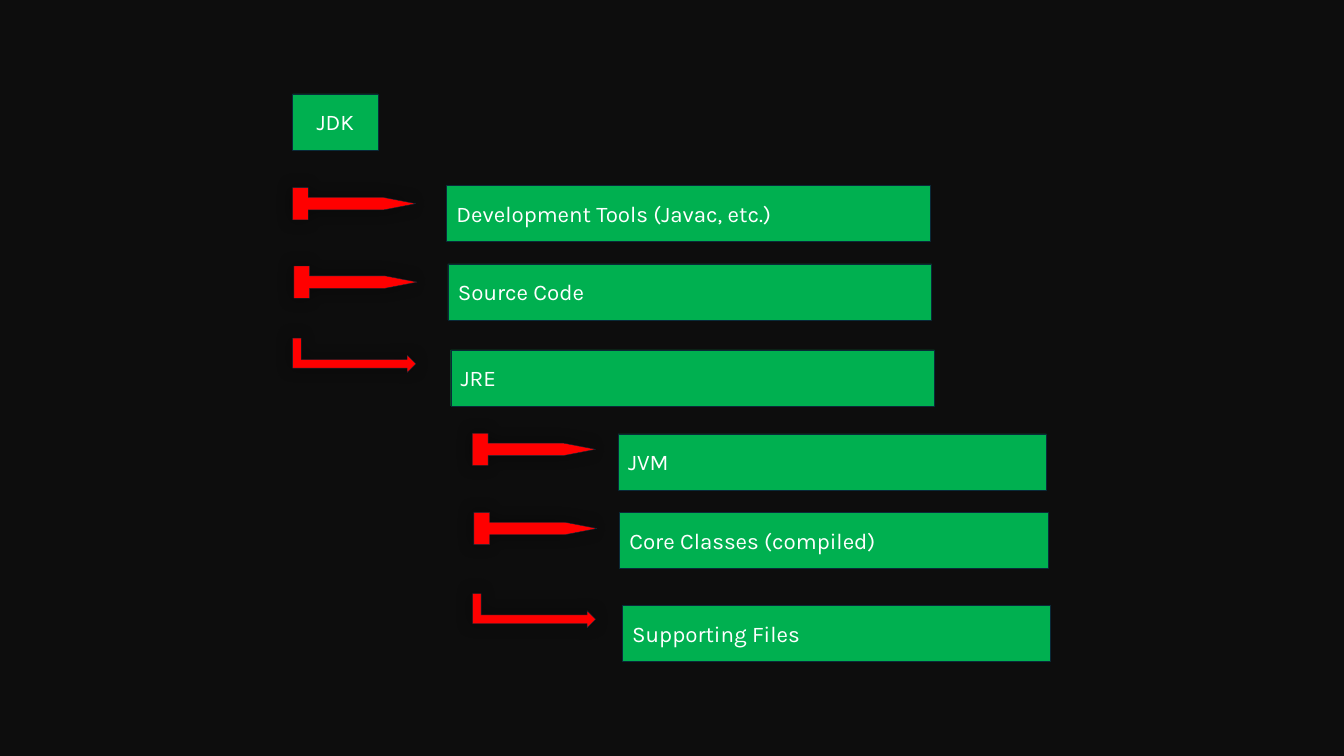
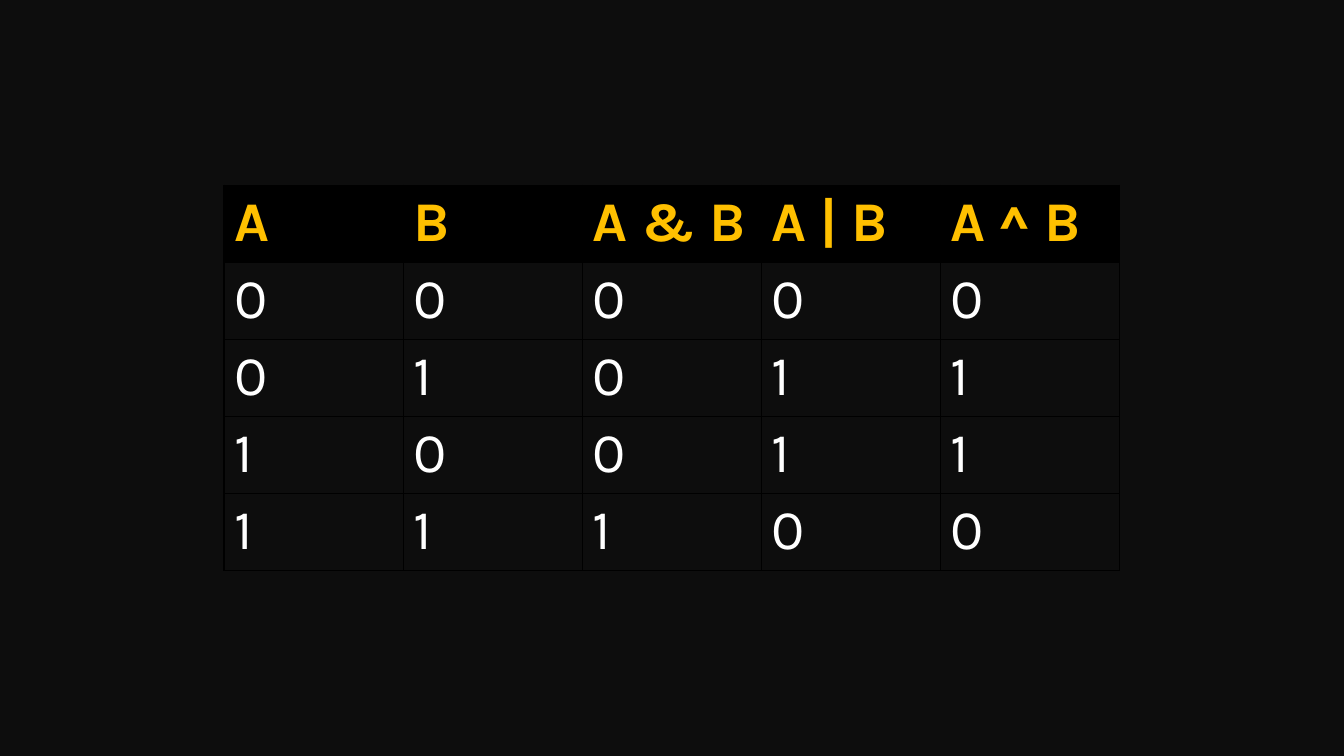
from dataclasses import dataclass

from lxml import etree
from pptx import Presentation
from pptx.dml.color import RGBColor
from pptx.enum.shapes import MSO_SHAPE
from pptx.enum.text import MSO_ANCHOR, PP_ALIGN
from pptx.oxml import parse_xml
from pptx.oxml.ns import nsdecls, qn
from pptx.util import Pt

RECTANGLE = MSO_SHAPE.RECTANGLE
CALLOUT_ARROW = MSO_SHAPE.RIGHT_ARROW_CALLOUT
BENT_ARROW = MSO_SHAPE.BENT_UP_ARROW
LEFT, CENTER = PP_ALIGN.LEFT, PP_ALIGN.CENTER
MIDDLE = MSO_ANCHOR.MIDDLE


@dataclass(frozen=True)
class Theme:
    """Colours, type and line sizes shared by both slides."""
    background: str = "0D0D0D"
    box: str = "00B050"
    arrow: str = "FF0000"
    outline: str = "092A39"
    text: str = "FFFFFF"
    heading: str = "FFC000"
    table_dark: str = "000000"
    font: str = "Karla"
    box_size: float = 16
    table_size: float = 40
    outline_width: float = 0.25
    border_width: float = 1


THEME = Theme()
BOX_HEIGHT = 40
ARROW_WIDTH = 88
CALLOUT_HEIGHT = 23
BENT_HEIGHT = 24.5
CALLOUT_ADJUSTMENTS = (0.389, 0.194, 1.007, 0.127)
BOX_SHIFTS = (0, 1, 3)
ARROW_SHIFTS = (0, 1, 0)


def rgb(value):
    """Turn a hex string into a colour."""
    return RGBColor.from_string(value)


def apply_format(target, values):
    """Set each named attribute on the target."""
    for name, value in values.items():
        setattr(target, name, value)


def style_font(font, size, color, bold=False):
    """Give a font the theme typeface, a size, a colour and a weight."""
    apply_format(font, {"name": THEME.font, "size": Pt(size), "bold": bold})
    font.color.rgb = rgb(color)


def add_block(shapes, kind, left, top, width, height, color):
    """Add a filled preset shape with the thin shared outline."""
    shape = shapes.add_shape(kind, Pt(left), Pt(top), Pt(width), Pt(height))
    shape.shadow.inherit = False
    shape.fill.solid()
    shape.fill.fore_color.rgb = rgb(color)
    shape.line.color.rgb = rgb(THEME.outline)
    shape.line.width = Pt(THEME.outline_width)
    return shape


def add_label_box(shapes, text, left, top, width, alignment=LEFT):
    """Add a green box holding one line of text."""
    shape = add_block(shapes, RECTANGLE, left, top, width, BOX_HEIGHT, THEME.box)
    apply_format(shape.text_frame, {"word_wrap": True, "vertical_anchor": MIDDLE})
    paragraph = shape.text_frame.paragraphs[0]
    apply_format(paragraph, {"text": text, "alignment": alignment})
    style_font(paragraph.runs[0].font, THEME.box_size, THEME.text)


def add_soft_shadow(shape):
    """Give a shape a soft black outer shadow."""
    effects = shape._element.spPr.find(qn("a:effectLst"))
    shadow = etree.SubElement(effects, qn("a:outerShdw"), {
        "blurRad": str(Pt(12)), "dist": str(Pt(1)), "dir": str(206 * 60000)})
    color = etree.SubElement(shadow, qn("a:srgbClr"), val="000000")
    etree.SubElement(color, qn("a:alpha"), val="40000")


def add_callout_arrow(shapes, left, top):
    """Add a straight arrow with a square foot."""
    shape = add_block(shapes, CALLOUT_ARROW, left, top,
                      ARROW_WIDTH, CALLOUT_HEIGHT, THEME.arrow)
    for index, value in enumerate(CALLOUT_ADJUSTMENTS):
        shape.adjustments[index] = value
    add_soft_shadow(shape)


def add_bent_arrow(shapes, left, top):
    """Add an arrow that runs down and then right from its visible corner."""
    inset = (ARROW_WIDTH - BENT_HEIGHT) / 2
    shape = add_block(shapes, BENT_ARROW, left + inset, top - inset,
                      BENT_HEIGHT, ARROW_WIDTH, THEME.arrow)
    shape.rotation = 90
    add_soft_shadow(shape)


def add_branches(shapes, left, top, box_offset, box_width, branches):
    """Place a tier of labelled boxes and arrows, the last arrow bent."""
    last = len(branches) - 1
    for index, (text, box_drop, arrow_drop) in enumerate(branches):
        add_label_box(shapes, text, left + box_offset + BOX_SHIFTS[index],
                      top + box_drop, box_width)
        add_arrow = add_bent_arrow if index == last else add_callout_arrow
        add_arrow(shapes, left + ARROW_SHIFTS[index], top + arrow_drop)


def add_tree_slide(presentation, left, top):
    """Build the tree of kit parts from its top left corner."""
    slide = presentation.slides.add_slide(presentation.slide_layouts[6])
    shapes = slide.shapes.add_group_shape().shapes
    add_label_box(shapes, "JDK", left, top, 61, CENTER)
    add_branches(shapes, left, top + 65.5, 110, 345.5, (
        ("Development Tools (Javac, etc.)", 0, 1.5),
        ("Source Code", 56, 57.5),
        ("JRE", 117.5, 109),
    ))
    add_branches(shapes, left + 128.5, top + 243, 104, 306, (
        ("JVM", 0, -0.5),
        ("Core Classes (compiled)", 56, 56),
        ("Supporting Files", 122.5, 114),
    ))


def add_borders(cell):
    """Draw a thin dark line on all four sides of a cell."""
    properties = cell._tc.get_or_add_tcPr()
    for side in ("lnL", "lnR", "lnT", "lnB"):
        properties.append(parse_xml(
            f'<a:{side} {nsdecls("a")} w="{Pt(THEME.border_width)}"><a:solidFill>'
            f'<a:srgbClr val="{THEME.table_dark}"/></a:solidFill></a:{side}>'))


def fill_cell(cell, text, is_header):
    """Write and format one cell of the truth table."""
    add_borders(cell)
    cell.fill.solid()
    cell.fill.fore_color.rgb = rgb(THEME.table_dark if is_header else THEME.background)
    cell.text = text
    style_font(cell.text_frame.paragraphs[0].runs[0].font, THEME.table_size,
               THEME.heading if is_header else THEME.text, is_header)


def add_truth_table_slide(presentation, left, top, width, row_height):
    """Build the table of bitwise results."""
    slide = presentation.slides.add_slide(presentation.slide_layouts[6])
    pairs = [(a, b) for a in (0, 1) for b in (0, 1)]
    rows = [("A", "B", "A & B", "A | B", "A ^ B")]
    rows += [(a, b, a & b, int(a != b), a ^ b) for a, b in pairs]
    table = slide.shapes.add_table(len(rows), len(rows[0]), Pt(left), Pt(top),
                                   Pt(width), Pt(row_height * len(rows))).table
    for row_index, row in enumerate(rows):
        for column_index, value in enumerate(row):
            fill_cell(table.cell(row_index, column_index), str(value), row_index == 0)


def main():
    """Build and save the presentation."""
    presentation = Presentation()
    apply_format(presentation, {"slide_width": Pt(960), "slide_height": Pt(540)})
    background = presentation.slide_master.background.fill
    background.solid()
    background.fore_color.rgb = rgb(THEME.background)
    add_tree_slide(presentation, 209, 67)
    add_truth_table_slide(presentation, 160, 132.5, 640, 55)
    presentation.save("out.pptx")


if __name__ == "__main__":
    main()
